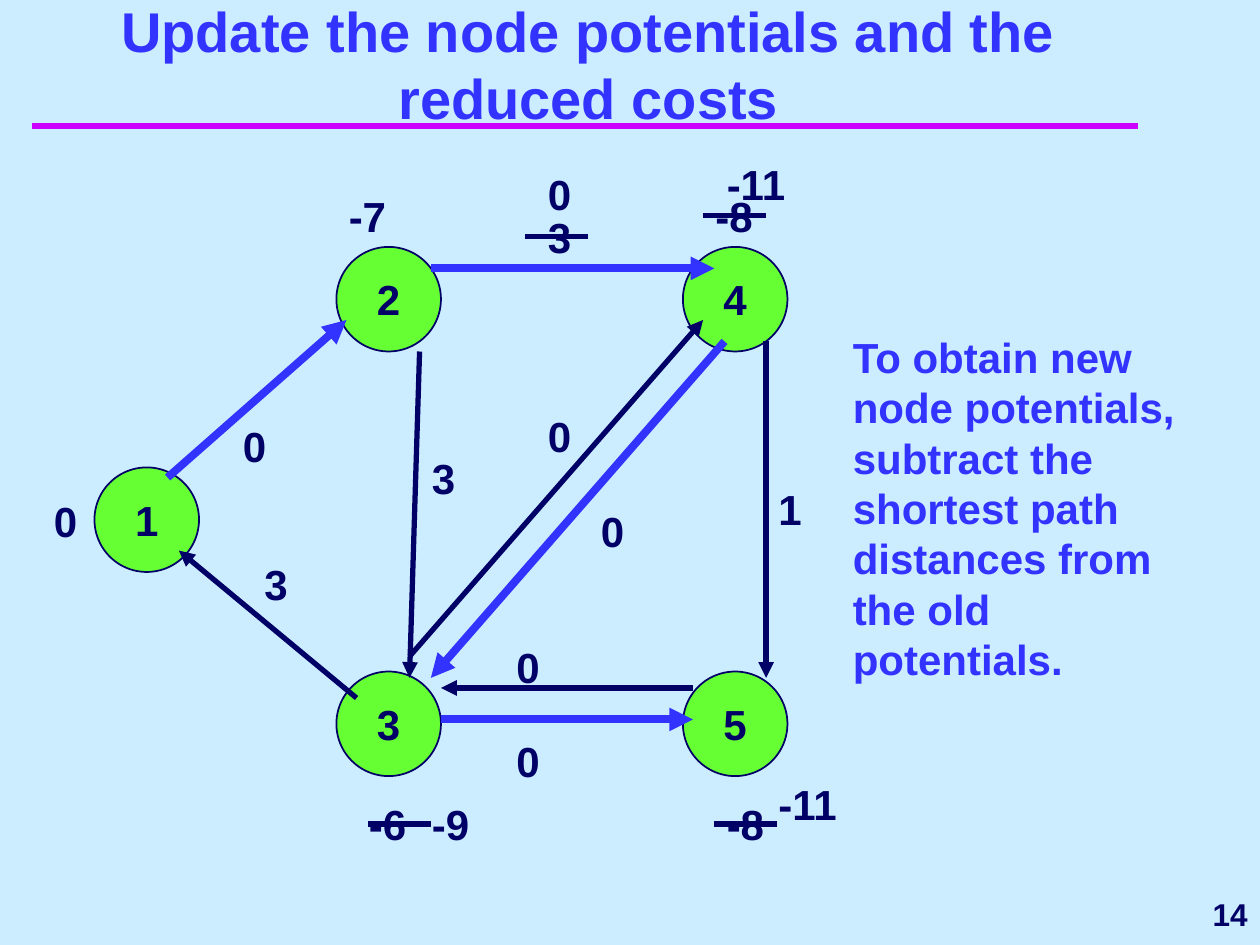
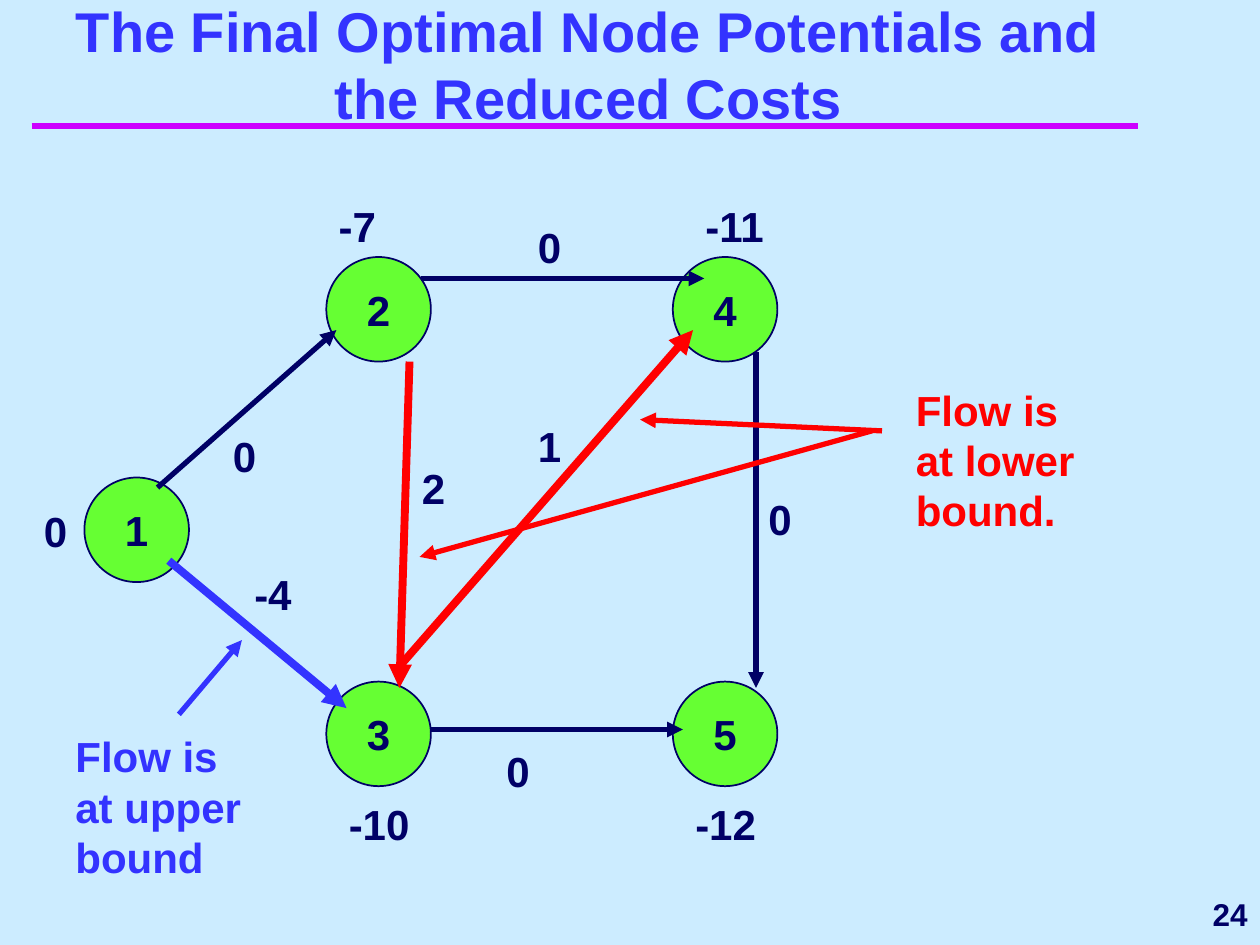
import lxml.etree
import pptx
import pptx.util
import pptx.dml.color
import pptx.enum.shapes
import pptx.enum.text
import pptx.oxml.ns
from pptx.util import Inches

NAVY, BLUE, RED = "000066", "3333FF", "FF0000"
GREEN, MAGENTA, SKY = "66FF33", "CC00FF", "CCECFF"
ALIGN = pptx.enum.text.PP_ALIGN
ANCHOR = pptx.enum.text.MSO_ANCHOR

DIAMETER = 0.83
NODES = {"1": (0.75, 3.71), "2": (2.67, 1.96), "3": (2.67, 5.33),
         "5": (5.42, 5.33), "4": (5.42, 1.96)}
ARCS = {
    "1-2": ((1.33, 3.79), (2.75, 2.54)),
    "2-4": ((3.42, 2.13), (5.67, 2.13)),
    "4-5": ((6.08, 2.71), (6.08, 5.38)),
    "3-4": ((3.25, 5.21), (5.58, 2.54)),
    "1-3": ((1.42, 4.37), (2.83, 5.54)),
    "3-1": ((2.83, 5.54), (1.42, 4.37)),
    "3-5": ((3.5, 5.71), (5.5, 5.71)),
    "2-3": ((3.33, 2.79), (3.25, 5.38)),
    "4-3": ((5.75, 2.71), (3.42, 5.38)),
    "5-3": ((5.5, 5.46), (3.5, 5.46)),
}
COST_SPOTS = {
    "1-2": (1.83, 3.29), "2-4": (4.25, 1.63), "4-5": (6.08, 3.79),
    "3-4": (4.25, 3.21), "1-3": (2, 4.38), "3-1": (2, 4.38),
    "3-5": (4, 5.79), "2-3": (3.33, 3.54), "4-3": (4.67, 3.96),
    "5-3": (4, 5.04),
}
POTENTIAL_SPOTS = {"1": (0.33, 3.88), "2": (2.67, 1.46), "4": (5.58, 1.46)}

SLIDES = [
    {
        "title": "Update the node potentials and the reduced costs",
        "number": "14",
        "shift": 0,
        "arcs": [("1-2", "0", BLUE), ("2-4", "3", BLUE), ("4-5", "1", NAVY),
                 ("3-4", "0", NAVY), ("3-1", "3", NAVY), ("3-5", "0", BLUE),
                 ("2-3", "3", NAVY), ("4-3", "0", BLUE), ("5-3", "0", NAVY)],
        "potentials": {"1": "0", "2": "-7", "4": "-8"},
        "extra_values": [("-8", 5.67, 6.29), ("-6", 2.83, 6.29),
                         ("-11", 5.67, 1.21), ("-11", 6.08, 6.13),
                         ("-9", 3.33, 6.29), ("0", 4.25, 1.29)],
        "strikes": [(5.58, 1.71), (2.92, 6.54), (5.67, 6.54), (4.17, 1.88)],
        "notes": [("To obtain new node potentials, subtract the shortest path "
                   "distances from the old potentials.",
                   (6.67, 2.58, 2.83, 2.9), BLUE)],
        "pointers": [],
    },
    {
        "title": "The Final Optimal Node Potentials and the Reduced Costs",
        "number": "24",
        "shift": 0.08,
        "arcs": [("1-2", "0", NAVY), ("2-4", "0", NAVY), ("4-5", "0", NAVY),
                 ("3-4", "1", RED), ("1-3", "-4", BLUE), ("3-5", "0", NAVY),
                 ("2-3", "2", RED)],
        "potentials": {"1": "0", "2": "-7", "4": "-11"},
        "extra_values": [("-12", 5.42, 6.29), ("-10", 2.67, 6.29)],
        "strikes": [],
        "notes": [("Flow is at upper bound", (0.5, 5.75, 1.58, 1.3), BLUE),
                  ("Flow is at lower bound.", (7.17, 3, 1.58, 1.3), RED)],
        "pointers": [((1.42, 5.67), (1.92, 5.08), BLUE),
                     ((6.92, 3.42), (3.33, 4.42), RED),
                     ((7, 3.42), (5.08, 3.33), RED)],
    },
]


def rgb(value):
    """Return the colour for a hex string."""
    return pptx.dml.color.RGBColor.from_string(value)


def write(frame, text, size, color, align, anchor, wrap=True):
    """Fill a text frame with one bold paragraph."""
    frame.text = text
    frame.auto_size = pptx.enum.text.MSO_AUTO_SIZE.NONE
    frame.word_wrap = wrap
    frame.vertical_anchor = anchor
    paragraph = frame.paragraphs[0]
    paragraph.alignment = align
    font = paragraph.runs[0].font
    font.name, font.size, font.bold = "Arial", pptx.util.Pt(size), True
    font.color.rgb = rgb(color)


def add_text(slide, text, box, color=NAVY, size=24, align=ALIGN.LEFT,
             anchor=ANCHOR.TOP):
    """Add a text box at left, top, width, height."""
    box = slide.shapes.add_textbox(*map(Inches, box))
    write(box.text_frame, text, size, color, align, anchor)


def add_value(slide, text, spot):
    """Add a cost or potential beside the graph."""
    add_text(slide, text, (*spot, 1, 0.5))


def add_line(slide, start, end, color, width, arrow=True):
    """Add a straight line, with an arrowhead at its end if wanted."""
    line = slide.shapes.add_connector(
        pptx.enum.shapes.MSO_CONNECTOR.STRAIGHT, *map(Inches, start + end))
    line.line.color.rgb = rgb(color)
    line.line.width = pptx.util.Pt(width)
    properties = line.element.spPr
    qn = pptx.oxml.ns.qn
    if arrow:
        lxml.etree.SubElement(properties.find(qn("a:ln")), qn("a:tailEnd"),
                              type="triangle")
    lxml.etree.SubElement(properties, qn("a:effectLst"))
    return line


def add_node(slide, label, spot):
    """Add one numbered circle of the graph."""
    node = slide.shapes.add_shape(
        pptx.enum.shapes.MSO_SHAPE.OVAL,
        *map(Inches, (*spot, DIAMETER, DIAMETER)))
    node.shadow.inherit = False
    node.fill.solid()
    node.fill.fore_color.rgb = rgb(GREEN)
    node.line.color.rgb = rgb(NAVY)
    node.line.width = pptx.util.Pt(1)
    write(node.text_frame, label, 24, NAVY, ALIGN.CENTER, ANCHOR.MIDDLE, False)


def add_frame(slide, title, number):
    """Add the title, the rule behind it and the slide number."""
    heading = slide.shapes.title
    heading.left, heading.top, heading.width, heading.height = map(
        Inches, (0.42, 0.67, 8.5, 0.42))
    write(heading.text_frame, title, 32, BLUE, ALIGN.CENTER, ANCHOR.BOTTOM)
    rule = add_line(slide, (0.25, 1), (9.03, 1), MAGENTA, 4, False)
    heading.element.addprevious(rule.element)
    add_text(slide, number, (8.08, 7, 1.92, 0.5), size=18,
             align=ALIGN.RIGHT, anchor=ANCHOR.MIDDLE)


def add_graph(slide, content):
    """Add nodes, arcs, costs and potentials, shifted down and left."""
    def place(spot):
        """Move a spot by the shift of this slide."""
        return spot[0] - content["shift"], spot[1] + content["shift"]

    for label, spot in NODES.items():
        add_node(slide, label, place(spot))
    for arc, cost, color in content["arcs"]:
        start, end = map(place, ARCS[arc])
        add_line(slide, start, end, color, 3 if color == NAVY else 4.5)
    for arc, cost, color in content["arcs"]:
        add_value(slide, cost, place(COST_SPOTS[arc]))
    for node, potential in content["potentials"].items():
        add_value(slide, potential, place(POTENTIAL_SPOTS[node]))


def main():
    """Build both slides and save them."""
    deck = pptx.Presentation()
    deck.slide_width, deck.slide_height = Inches(10), Inches(7.5)
    background = deck.slide_master.background.fill
    background.solid()
    background.fore_color.rgb = rgb(SKY)
    for content in SLIDES:
        slide = deck.slides.add_slide(deck.slide_layouts[5])
        add_frame(slide, content["title"], content["number"])
        add_graph(slide, content)
        for value, *spot in content["extra_values"]:
            add_value(slide, value, spot)
        for left, top in content["strikes"]:
            add_line(slide, (left, top), (left + 0.5, top), NAVY, 3, False)
        for note, box, color in content["notes"]:
            add_text(slide, note, box, color)
        for start, end, color in content["pointers"]:
            add_line(slide, start, end, color, 3)
    deck.save("out.pptx")


if __name__ == "__main__":
    main()
